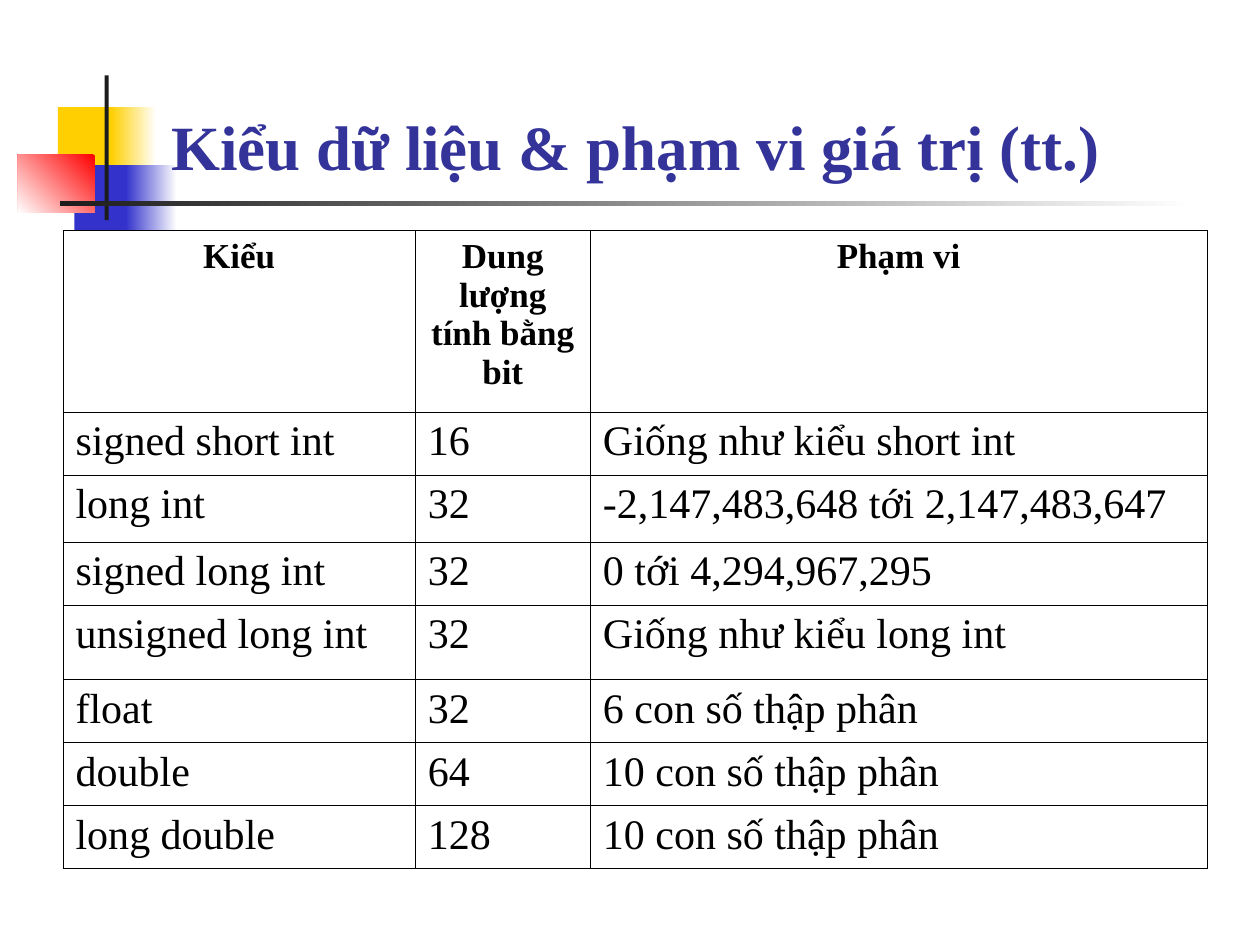
from lxml import etree
from pptx import Presentation
from pptx.dml.color import RGBColor
from pptx.enum.shapes import MSO_SHAPE
from pptx.enum.text import MSO_ANCHOR, PP_ALIGN
from pptx.oxml.ns import qn
from pptx.util import Cm, Pt

FONT = "Times New Roman"
WHITE = RGBColor(0xFF, 0xFF, 0xFF)
BLACK = RGBColor(0x00, 0x00, 0x00)
YELLOW = RGBColor(0xFF, 0xCF, 0x01)
BLUE = RGBColor(0x33, 0x33, 0xCC)
RED = RGBColor(0xFF, 0x00, 0x00)
CHARCOAL = RGBColor(0x1C, 0x1C, 0x1C)
TITLE_COLOR = RGBColor(0x33, 0x33, 0x99)

# Left, top, width, height in cm within the ornament; colours; gradient angle
ORNAMENT_PARTS = [
    (0.81, 0.64, 1.22, 1.32, (YELLOW,), 0),
    (1.88, 0.64, 0.91, 1.32, (WHITE, YELLOW), 180),
    (1.14, 1.81, 1.17, 1.32, (BLUE,), 0),
    (2.18, 1.81, 1.02, 1.32, (WHITE, BLUE), 180),
    (0, 1.6, 1.55, 1.17, (RED, WHITE), 225),
    (1.75, 0, 0.08, 2.92, (CHARCOAL,), 0),
    (0.86, 2.54, 22.86, 0.1, (WHITE, CHARCOAL), 180),
]

COLUMN_WIDTHS = [7.1, 3.53, 12.43]
ROW_HEIGHTS = [3.66, 1.27, 1.35, 1.27, 1.5, 1.27, 1.27, 1.27]
ROWS = [
    ("Kiểu", "Dung lượng\ntính bằng bit", "Phạm vi"),
    ("signed short int", "16", "Giống như kiểu short int"),
    ("long int", "32", "-2,147,483,648 tới 2,147,483,647"),
    ("signed long int", "32", "0 tới 4,294,967,295"),
    ("unsigned long int", "32", "Giống như kiểu long int"),
    ("float", "32", "6 con số thập phân"),
    ("double", "64", "10 con số thập phân"),
    ("long double", "128", "10 con số thập phân"),
]


def set_font(paragraph, size, color, bold):
    font = paragraph.font
    font.name = FONT
    font.size = Pt(size)
    font.bold = bold
    font.color.rgb = color


def add_ornament(slide, left, top):
    """Coloured squares and the two crossing bars."""
    for x, y, width, height, colors, angle in ORNAMENT_PARTS:
        shape = slide.shapes.add_shape(
            MSO_SHAPE.RECTANGLE, left + Cm(x), top + Cm(y), Cm(width), Cm(height))
        shape.shadow.inherit = False
        shape.line.fill.background()
        if len(colors) == 1:
            shape.fill.solid()
            shape.fill.fore_color.rgb = colors[0]
        else:
            shape.fill.gradient()
            shape.fill.gradient_angle = angle
            for stop, color in zip(shape.fill.gradient_stops, colors):
                stop.color.rgb = color


def place_title(slide, left, top, width, height):
    title = slide.shapes.title
    title.left, title.top, title.width, title.height = left, top, width, height
    # Bring the title in front of the ornament
    title.element.getparent().append(title.element)
    frame = title.text_frame
    frame.text = "Kiểu dữ liệu & phạm vi giá trị (tt.)"
    frame.vertical_anchor = MSO_ANCHOR.BOTTOM
    frame.word_wrap = True
    paragraph = frame.paragraphs[0]
    paragraph.alignment = PP_ALIGN.LEFT
    set_font(paragraph, 36, TITLE_COLOR, True)


def add_borders(cell):
    properties = cell._tc.get_or_add_tcPr()
    for side in ("a:lnL", "a:lnR", "a:lnT", "a:lnB"):
        line = etree.SubElement(properties, qn(side), w=str(Pt(0.45)))
        fill = etree.SubElement(line, qn("a:solidFill"))
        etree.SubElement(fill, qn("a:srgbClr"), val=str(BLACK))


def add_type_table(slide, left, top):
    """Data types with their size in bits and range."""
    table = slide.shapes.add_table(
        len(ROWS), len(COLUMN_WIDTHS), left, top,
        Cm(sum(COLUMN_WIDTHS)), Cm(sum(ROW_HEIGHTS))).table
    table.first_row = False
    table.horz_banding = False
    for column, width in zip(table.columns, COLUMN_WIDTHS):
        column.width = Cm(width)
    for index, (row, height, texts) in enumerate(zip(table.rows, ROW_HEIGHTS, ROWS)):
        row.height = Cm(height)
        header = index == 0
        for cell, text in zip(row.cells, texts):
            cell.text = text
            add_borders(cell)
            cell.fill.background()
            for paragraph in cell.text_frame.paragraphs:
                paragraph.alignment = PP_ALIGN.CENTER if header else PP_ALIGN.JUSTIFY
                set_font(paragraph, 20 if header else 24, BLACK, header)


def main():
    presentation = Presentation()
    presentation.slide_width = Cm(25.4)
    presentation.slide_height = Cm(19.05)
    slide = presentation.slides.add_slide(presentation.slide_layouts[5])
    add_ornament(slide, Cm(0.36), Cm(1.52))
    place_title(slide, Cm(3.2), Cm(1.47), Cm(21.13), Cm(2.34))
    add_type_table(slide, Cm(1.27), Cm(4.65))
    presentation.save("out.pptx")


if __name__ == "__main__":
    main()
